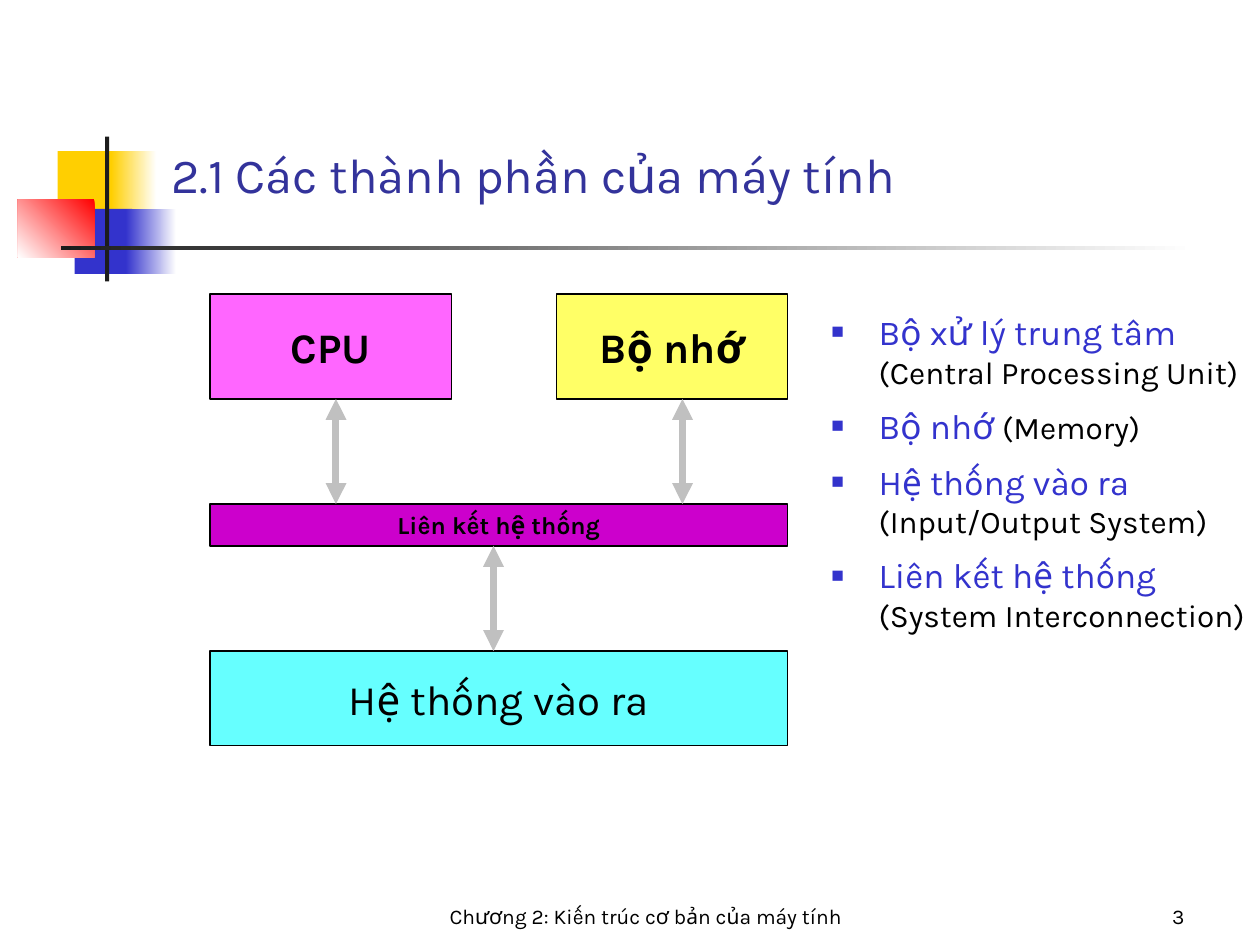
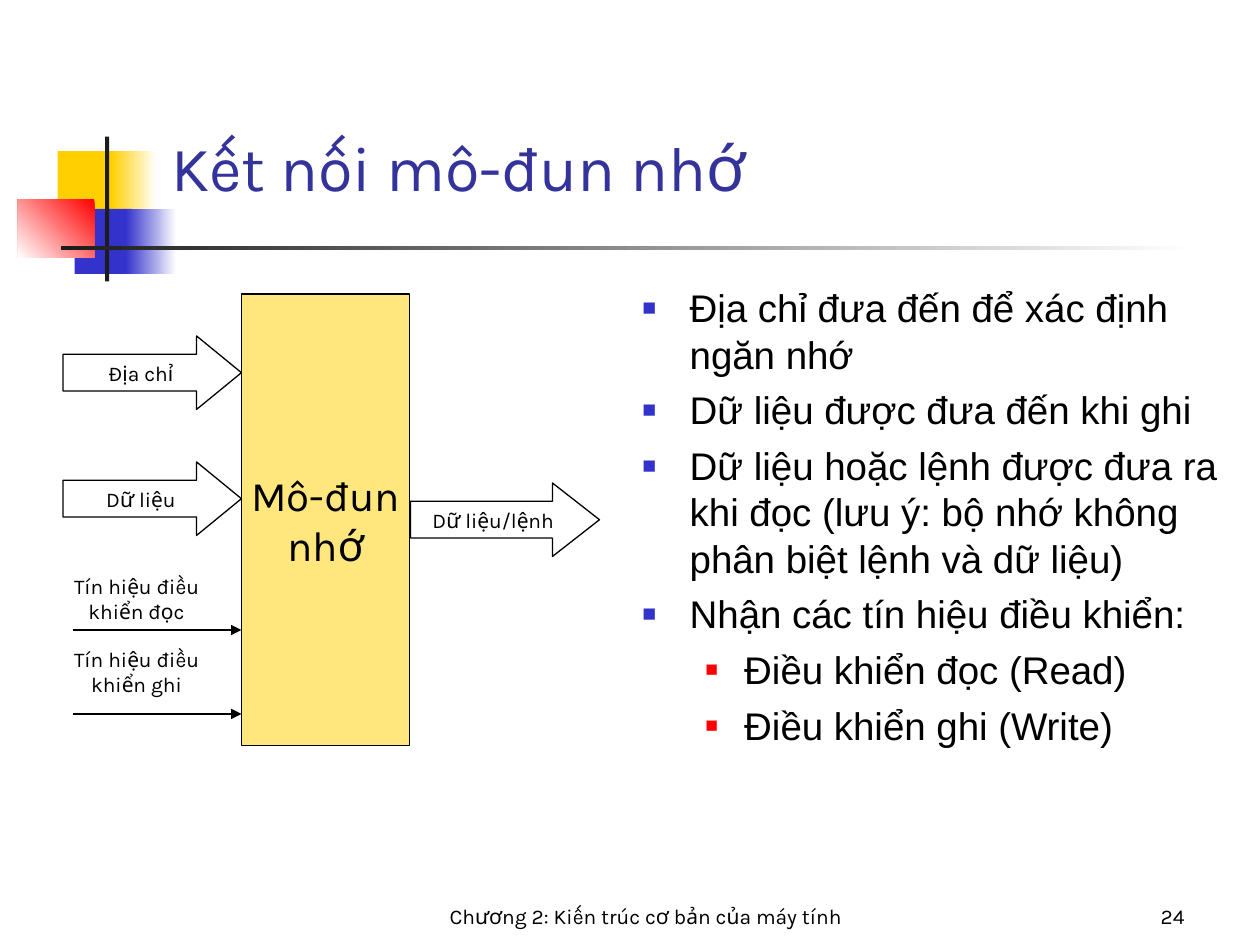
from lxml.etree import SubElement
from pptx import Presentation
from pptx.dml.color import RGBColor
from pptx.enum.shapes import MSO_CONNECTOR, MSO_SHAPE
from pptx.enum.text import MSO_ANCHOR, MSO_AUTO_SIZE, PP_ALIGN
from pptx.oxml.ns import qn
from pptx.util import Pt

PX = 7620  # EMU per px, 120 px to the inch
COLOURS = {
    "title": "33339B", "text": "000000", "term": "3333CD", "white": "FFFFFF",
    "yellow": "FFCF01", "blue": "3333CC", "red": "FF0000", "ink": "1C1C1C",
    "cpu": "FF66FF", "memory": "FFFF66", "io": "66FFFF", "bus": "CC00CC",
    "module": "FFE67D", "link": "C0C0C0",
}
RGB = {name: RGBColor.from_string(value) for name, value in COLOURS.items()}


def add_run(paragraph, text, size, colour="text", bold=False, font="Karla"):
    run = paragraph.add_run()
    run.text = text
    run.font.name = font
    run.font.size = Pt(size)
    run.font.bold = bold
    run.font.color.rgb = RGB[colour]


def add_block(slide, kind, box, fill, lines, size, bold=False):
    """Add an outlined shape with centred, unwrapped lines of text."""
    block = slide.shapes.add_shape(kind, *[v * PX for v in box])
    block.shadow.inherit = False
    block.fill.solid()
    block.fill.fore_color.rgb = RGB[fill]
    block.line.color.rgb = RGB["text"]
    block.line.width = Pt(0.75)
    frame = block.text_frame
    frame.word_wrap = False
    frame.vertical_anchor = MSO_ANCHOR.MIDDLE
    for i, line in enumerate(lines):
        paragraph = frame.add_paragraph() if i else frame.paragraphs[0]
        paragraph.alignment = PP_ALIGN.CENTER
        add_run(paragraph, line, size, bold=bold)
    return block


prs = Presentation()
prs.slide_width, prs.slide_height = 1200 * PX, 900 * PX

# Shared frame: ornament, title, footer and slide number
ornament = [  # box, start colour, end colour, gradient angle
    ((55, 144, 58, 62), "yellow", None, 0),
    ((106, 144, 43, 62), "yellow", "white", 0),
    ((71, 199, 55, 62), "blue", None, 0),
    ((120, 199, 48, 62), "blue", "white", 0),
    ((17, 190, 73, 55), "red", "white", 225),
    ((100, 130, 4, 138), "ink", None, 0),
    ((58, 234, 1080, 4), "ink", "white", 0),
]
slides = []
for heading, heading_size, number in [
    ("2.1 Các thành phần của máy tính", 28, "3"),
    ("Kết nối mô-đun nhớ", 36, "24"),
]:
    slide = prs.slides.add_slide(prs.slide_layouts[5])
    slides.append(slide)
    for box, start, end, angle in ornament:
        piece = slide.shapes.add_shape(MSO_SHAPE.RECTANGLE, *[v * PX for v in box])
        piece.shadow.inherit = False
        piece.line.fill.background()
        if end:
            piece.fill.gradient()
            piece.fill.gradient_angle = angle
            for stop, colour in zip(piece.fill.gradient_stops, (start, end)):
                stop.color.rgb = RGB[colour]
        else:
            piece.fill.solid()
            piece.fill.fore_color.rgb = RGB[start]

    title = slide.shapes.title
    title.left, title.top, title.width, title.height = [v * PX for v in (151, 120, 1022, 80)]
    title.text_frame.auto_size = MSO_AUTO_SIZE.NONE
    title.text_frame.vertical_anchor = MSO_ANCHOR.BOTTOM
    title.text_frame.paragraphs[0].alignment = PP_ALIGN.LEFT
    add_run(title.text_frame.paragraphs[0], heading, heading_size, "title")

    for left, width, text, alignment in [
        (250, 730, "Chương 2: Kiến trúc cơ bản của máy tính", PP_ALIGN.CENTER),
        (1000, 140, number, PP_ALIGN.RIGHT),
    ]:
        footer = slide.shapes.add_textbox(left * PX, 830 * PX, width * PX, 60 * PX).text_frame
        footer.word_wrap = True
        footer.vertical_anchor = MSO_ANCHOR.BOTTOM
        footer.paragraphs[0].alignment = alignment
        add_run(footer.paragraphs[0], text, 12)

components, memory = slides

# Computer components
for box, fill, label, size, bold in [
    ((200, 280, 230, 100), "cpu", "CPU", 24, True),
    ((530, 280, 220, 100), "memory", "Bộ nhớ", 24, True),
    ((200, 620, 550, 90), "io", "Hệ thống vào ra", 24, False),
    ((200, 480, 550, 40), "bus", "Liên kết hệ thống", 14, True),
]:
    add_block(components, MSO_SHAPE.RECTANGLE, box, fill, [label], size, bold)

# Memory module with its data flows and control signals
add_block(memory, MSO_SHAPE.RECTANGLE, (230, 280, 160, 430), "module", ["Mô-đun", "nhớ"], 24)
for left, top, width, label, head in [
    (60, 320, 170, "Địa chỉ", 0.61),
    (60, 440, 170, "Dữ liệu", 0.61),
    (391, 460, 180, "Dữ liệu/lệnh", 0.64),
]:
    flow = add_block(memory, MSO_SHAPE.RIGHT_ARROW, (left, top, width, 70), "white", [label], 12)
    flow.adjustments[1] = head

for top, text in [(540, "Tín hiệu điều khiển đọc"), (610, "Tín hiệu điều khiển ghi")]:
    signal = memory.shapes.add_textbox(50 * PX, top * PX, 160 * PX, 60 * PX).text_frame
    signal.word_wrap = True
    signal.paragraphs[0].alignment = PP_ALIGN.CENTER
    signal.paragraphs[0].space_before = Pt(7.5)
    add_run(signal.paragraphs[0], text, 12)

# Lines between the parts
for slide, ends, colour, weight, arrowheads in [
    (components, (320, 380, 320, 480), "link", 4, ("headEnd", "tailEnd")),
    (components, (650, 380, 650, 480), "link", 4, ("headEnd", "tailEnd")),
    (components, (470, 520, 470, 620), "link", 4, ("headEnd", "tailEnd")),
    (memory, (70, 600, 230, 600), "text", 0.75, ("tailEnd",)),
    (memory, (70, 680, 230, 680), "text", 0.75, ("tailEnd",)),
]:
    link = slide.shapes.add_connector(MSO_CONNECTOR.STRAIGHT, *[v * PX for v in ends])
    link.line.color.rgb = RGB[colour]
    link.line.width = Pt(weight)
    for arrowhead in arrowheads:
        SubElement(link.line._get_or_add_ln(), qn(f"a:{arrowhead}"), type="triangle")
    SubElement(link._element.spPr, qn("a:effectLst"))

# Bulleted explanations: level, space before, runs
terms = [
    ("Bộ xử lý trung tâm ", "(Central Processing Unit)"),
    ("Bộ nhớ ", "(Memory)"),
    ("Hệ thống vào ra ", "(Input/Output System)"),
    ("Liên kết hệ thống ", "(System Interconnection)"),
]
facts = [
    (0, "Địa chỉ đưa đến để xác định ngăn nhớ"),
    (0, "Dữ liệu được đưa đến khi ghi"),
    (0, "Dữ liệu hoặc lệnh được đưa ra khi đọc "
        "(lưu ý: bộ nhớ không phân biệt lệnh và dữ liệu)"),
    (0, "Nhận các tín hiệu điều khiển:"),
    (1, "Điều khiển đọc (Read)"),
    (1, "Điều khiển ghi (Write)"),
]
term_items = [
    (0, 7.9 if i else 4.5, [(term, 20, "term"), (english, 18)])
    for i, (term, english) in enumerate(terms)
]
fact_items = [(level, 5.5, [(fact, 22, "text", False, "Arial")]) for level, fact in facts]
bullet_styles = [(45, 45, "blue", 60), (97, 37, "red", 55)]  # margin, hang, colour, size %

for slide, box, items in [
    (components, (780, 290, 420, 480), term_items),
    (memory, (600, 265, 575, 540), fact_items),
]:
    body = slide.shapes.add_textbox(*[v * PX for v in box]).text_frame
    body.word_wrap = True
    for i, (level, space, runs) in enumerate(items):
        paragraph = body.add_paragraph() if i else body.paragraphs[0]
        paragraph.level = level
        paragraph.space_before = Pt(space)
        margin, hang, colour, percent = bullet_styles[level]
        properties = paragraph._p.get_or_add_pPr()
        properties.set("marL", str(margin * PX))
        properties.set("indent", str(-hang * PX))
        bullet_colour = SubElement(properties, qn("a:buClr"))
        SubElement(bullet_colour, qn("a:srgbClr"), val=COLOURS[colour])
        SubElement(properties, qn("a:buSzPct"), val=str(percent * 1000))
        SubElement(properties, qn("a:buFont"), typeface="Arial")
        SubElement(properties, qn("a:buChar"), char="■")
        for run in runs:
            add_run(paragraph, *run)

prs.save("out.pptx")
